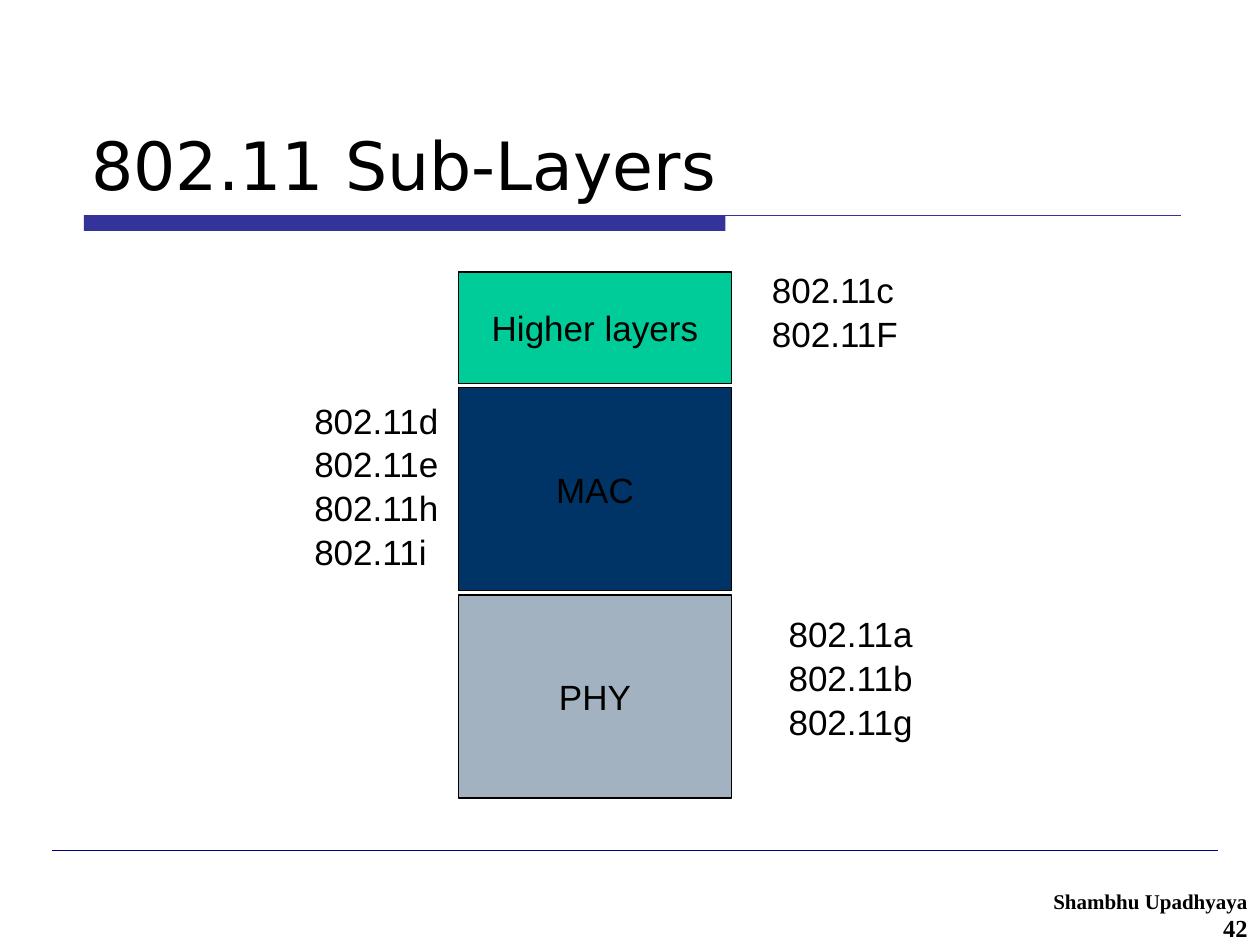
"""Build the 802.11 sub-layers slide."""
import dataclasses

import pptx
import pptx.chart.data
import pptx.dml.color
import pptx.enum.shapes
import pptx.enum.text
import pptx.oxml
import pptx.util

Pt = pptx.util.Pt
PP_ALIGN = pptx.enum.text.PP_ALIGN
ANCHOR = pptx.enum.text.MSO_ANCHOR


@dataclasses.dataclass(frozen=True)
class Theme:
    """Colours, fonts and type sizes of the slide."""
    ink: str = "000000"
    accent: str = "333399"
    navy: str = "000080"
    higher: str = "00CC99"
    mac: str = "003366"
    phy: str = "A3B2C1"
    title_font: str = "DejaVu Sans"
    body_font: str = "Arial"
    footer_font: str = "Times New Roman"
    title_size: float = 38
    body_size: float = 20
    author_size: float = 12
    number_size: float = 14


class Builder:
    """Draw styled elements on the current slide."""

    def __init__(self, s, theme):
        """Keep the slide and its theme."""
        self.s, self.theme = s, theme

    def rgb(self, value):
        """Return a colour object for a hex value."""
        return pptx.dml.color.RGBColor.from_string(value)

    def style(self, p, font, size, align=PP_ALIGN.LEFT, bold=False):
        """Format a paragraph."""
        p.alignment = align
        p.font.name, p.font.size, p.font.bold = font, Pt(size), bold
        p.font.color.rgb = self.rgb(self.theme.ink)

    def title(self, text, x, y, w, h):
        """Fill and place the title placeholder."""
        sp = self.s.shapes.title
        sp.left, sp.top, sp.width, sp.height = map(Pt, (x, y, w, h))
        tf = sp.text_frame
        tf.text = text
        tf.vertical_anchor = ANCHOR.BOTTOM
        tf.auto_size = pptx.enum.text.MSO_AUTO_SIZE.NONE
        self.style(tf.paragraphs[0], self.theme.title_font, self.theme.title_size)

    def rect(self, x, y, w, h, fill, line=None, text=""):
        """Draw a rectangle with an optional outline and label."""
        kind = pptx.enum.shapes.MSO_SHAPE.RECTANGLE
        sp = self.s.shapes.add_shape(kind, Pt(x), Pt(y), Pt(w), Pt(h))
        sp.shadow.inherit = False
        sp.fill.solid()
        sp.fill.fore_color.rgb = self.rgb(fill)
        if line:
            sp.line.color.rgb = self.rgb(line)
            sp.line.width = Pt(0.75)
        else:
            sp.line.fill.background()
        if text:
            tf = sp.text_frame
            tf.text = text
            tf.word_wrap = False
            tf.vertical_anchor = ANCHOR.MIDDLE
            self.style(tf.paragraphs[0], self.theme.body_font,
                       self.theme.body_size, PP_ALIGN.CENTER)

    def rule(self, x1, x2, y, color, width):
        """Draw a horizontal line."""
        kind = pptx.enum.shapes.MSO_CONNECTOR.STRAIGHT
        sp = self.s.shapes.add_connector(kind, Pt(x1), Pt(y), Pt(x2), Pt(y))
        sp.line.color.rgb = self.rgb(color)
        sp.line.width = Pt(width)
        pptx.oxml.xmlchemy.OxmlElement
        sp._element.spPr.append(pptx.oxml.xmlchemy.OxmlElement("a:effectLst"))

    def lines(self, items, x, y, w, h):
        """Add an unwrapped text box with one paragraph per item."""
        tf = self.s.shapes.add_textbox(Pt(x), Pt(y), Pt(w), Pt(h)).text_frame
        tf.text = "\n".join(items)
        tf.word_wrap = False
        tf.auto_size = pptx.enum.text.MSO_AUTO_SIZE.SHAPE_TO_FIT_TEXT
        for p in tf.paragraphs:
            self.style(p, self.theme.body_font, self.theme.body_size)
            p.space_after = Pt(1)

    def footer(self, author, number, x, y, w, h):
        """Add the author and slide number at the right."""
        tf = self.s.shapes.add_textbox(Pt(x), Pt(y), Pt(w), Pt(h)).text_frame
        tf.text = f"{author}\n{number}"
        tf.word_wrap = True
        sizes = (self.theme.author_size, self.theme.number_size)
        for p, size in zip(tf.paragraphs, sizes):
            self.style(p, self.theme.footer_font, size, PP_ALIGN.RIGHT, True)


def main():
    """Create and save the slide."""
    prs = pptx.Presentation()
    prs.slide_width, prs.slide_height = Pt(720), Pt(540)
    theme = Theme()
    b = Builder(prs.slides.add_slide(prs.slide_layouts[5]), theme)

    b.title("802.11 Sub-Layers", 45, 24, 630, 96)
    b.rect(48, 123, 366.5, 9, theme.accent)
    b.rule(48, 675, 123.2, theme.accent, 0.75)
    b.rule(30, 696, 486, theme.navy, 0.25)

    layers = [("Higher layers", 155.5, 63.5, theme.higher),
              ("MAC", 221.5, 116, theme.mac),
              ("PHY", 340, 116, theme.phy)]
    for name, y, h, fill in layers:
        b.rect(262, y, 156, h, fill, theme.ink, name)

    standards = [("cF", 434, 150), ("dehi", 172.5, 224.5), ("abg", 443.5, 346.5)]
    for letters, x, y in standards:
        b.lines([f"802.11{c}" for c in letters], x, y, 87, 24 * len(letters) + 7)

    b.footer("Shambhu Upadhyaya", 42, 558, 504, 162, 36)
    prs.save("out.pptx")


if __name__ == "__main__":
    main()
